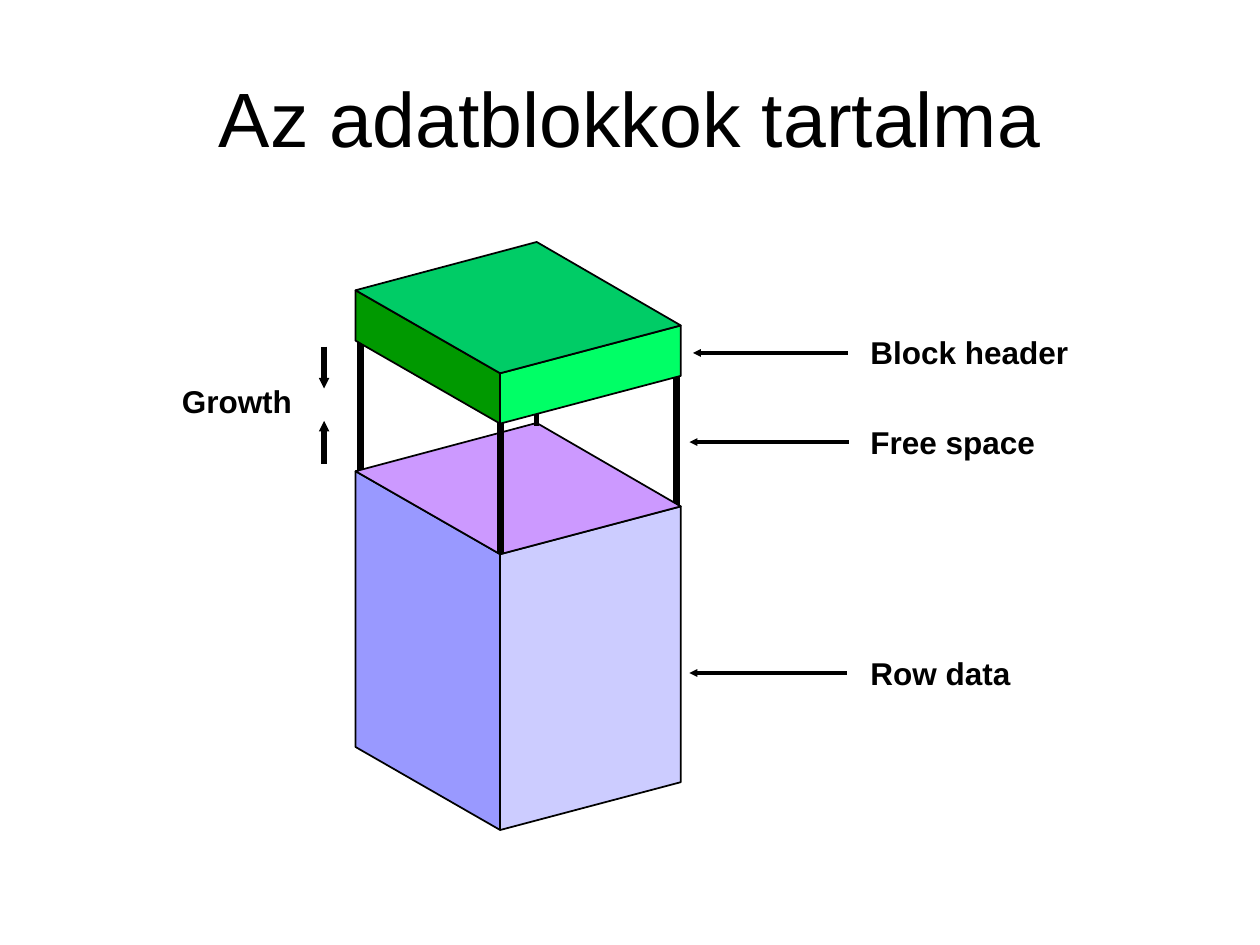
from lxml import etree
from pptx import Presentation
from pptx.dml.color import RGBColor
from pptx.enum import shapes, text
from pptx.oxml import ns
from pptx.util import Pt

BLACK = RGBColor(0x00, 0x00, 0x00)
LILAC = RGBColor(0xCC, 0x99, 0xFF)
BLUE = RGBColor(0x99, 0x99, 0xFF)
PALE_BLUE = RGBColor(0xCC, 0xCC, 0xFF)
GREEN = RGBColor(0x00, 0xCC, 0x66)
DARK_GREEN = RGBColor(0x00, 0x99, 0x00)
BRIGHT_GREEN = RGBColor(0x00, 0xFF, 0x66)

# Content
TITLE = "Az adatblokkok tartalma"
# label, box top, box width, arrow tip, arrow end, arrow y
LABELS = [
    ("Block header", 186.5, 131.8, 396, 484.3, 201.7),
    ("Free space", 238.3, 121, 394, 485.3, 252.6),
    ("Row data", 370.1, 100.1, 394, 484, 384.6),
]
GROWTH = "Growth"
GROWTH_ARROWS = [(265, 240.5), (198, 222)]
LABEL_LEFT, GROWTH_X = 490.3, 185.2

# Corners of the block: x, and drop below the left corner
CORNERS = {"left": (203.2, 0), "front": (285.8, 47.4),
           "right": (389, 20.1), "back": (306.7, -27.6)}
# top at the left corner, height, colours of top, left and right faces
ROW_DATA = (269.3, 157.6, LILAC, BLUE, PALE_BLUE)
HEADER = (165.9, 28.8, GREEN, DARK_GREEN, BRIGHT_GREEN)
# x, start y, end y, width
SIDE_POSTS = [(205.8, 193, 270, 4), (386.5, 214.6, 288.7, 4)]
INNER_POSTS = [(285.8, 240.5, 316.8, 4), (306.7, 188.6, 243.4, 3)]

prs = Presentation()
prs.slide_width, prs.slide_height = Pt(720), Pt(540)
slide = prs.slides.add_slide(prs.slide_layouts[5])


def write(frame, wording, size, bold, align):
    paragraph = frame.paragraphs[0]
    paragraph.text = wording
    paragraph.alignment = align
    paragraph.font.color.rgb = BLACK
    for key, value in {"name": "Arial", "size": Pt(size), "bold": bold}.items():
        setattr(paragraph.font, key, value)


def add_label(wording, left, top, width, wrap, align):
    box = slide.shapes.add_textbox(Pt(left), Pt(top), Pt(width), Pt(28.8))
    frame = box.text_frame
    settings = {"word_wrap": wrap, "auto_size": text.MSO_AUTO_SIZE.SHAPE_TO_FIT_TEXT}
    for key, value in settings.items():
        setattr(frame, key, value)
    write(frame, wording, 18, True, align)


def add_line(x1, y1, x2, y2, width, arrow_end=None):
    line = slide.shapes.add_connector(
        shapes.MSO_CONNECTOR.STRAIGHT, Pt(x1), Pt(y1), Pt(x2), Pt(y2))
    line.line.color.rgb = BLACK
    line.line.width = Pt(width)
    if arrow_end:
        etree.SubElement(line.line._get_or_add_ln(), ns.qn(f"a:{arrow_end}"),
                         type="triangle", w="sm", len="sm")
    etree.SubElement(line._element.spPr, ns.qn("a:effectLst"))


def add_face(points, colour):
    corners = [(Pt(x), Pt(y)) for x, y in points]
    builder = slide.shapes.build_freeform(*corners[0], scale=1.0)
    builder.add_line_segments(corners[1:], close=True)
    face = builder.convert_to_shape()
    face.shadow.inherit = False
    face.fill.solid()
    face.fill.fore_color.rgb = colour
    face.line.color.rgb = BLACK
    face.line.width = Pt(1)


def add_prism(top, height, top_colour, left_colour, right_colour):
    upper = {key: (x, top + drop) for key, (x, drop) in CORNERS.items()}
    for side, colour in (("right", right_colour), ("left", left_colour)):
        edge = [upper[side], upper["front"]]
        add_face(edge + [(x, y + height) for x, y in reversed(edge)], colour)
    add_face(upper.values(), top_colour)


def add_posts(posts):
    for x, start, end, width in posts:
        add_line(x, start, x, end, width)


# Title
title = slide.shapes.title
place = {"left": 36, "top": 21.6, "width": 648, "height": 90}
for key, value in place.items():
    setattr(title, key, Pt(value))
title.text_frame.vertical_anchor = text.MSO_ANCHOR.MIDDLE
write(title.text_frame, TITLE, 44, False, text.PP_ALIGN.CENTER)

# Data block, from back to front
add_posts(SIDE_POSTS)
add_prism(*ROW_DATA)
add_posts(INNER_POSTS)
add_prism(*HEADER)

# Labels on the right with their arrows
for wording, top, width, tip, end, y in LABELS:
    add_label(wording, LABEL_LEFT, top, width, True, text.PP_ALIGN.LEFT)
    add_line(tip, y, end, y, 2.25, "headEnd")

# Growth from both sides
add_label(GROWTH, 96.5, 214.6, 77.8, False, text.PP_ALIGN.CENTER)
for start, tip in GROWTH_ARROWS:
    add_line(GROWTH_X, start, GROWTH_X, tip, 3, "tailEnd")

prs.save("out.pptx")
